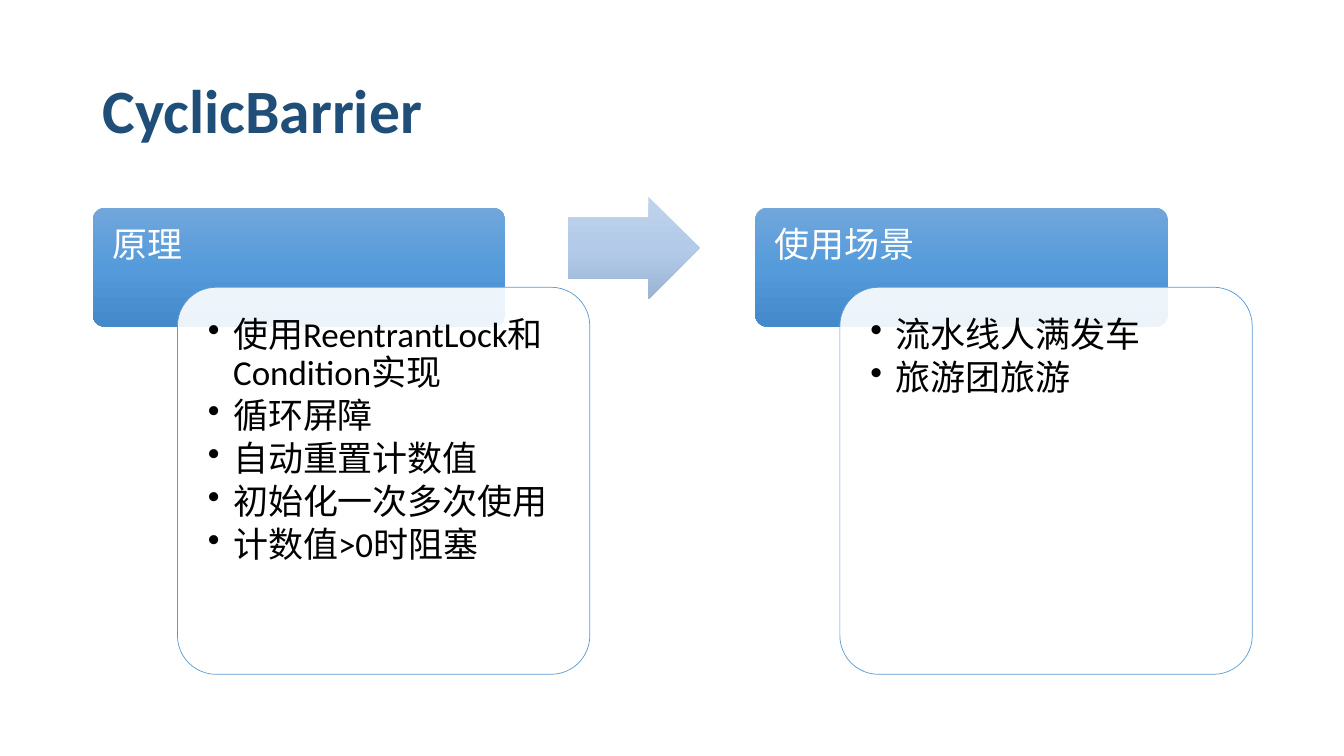
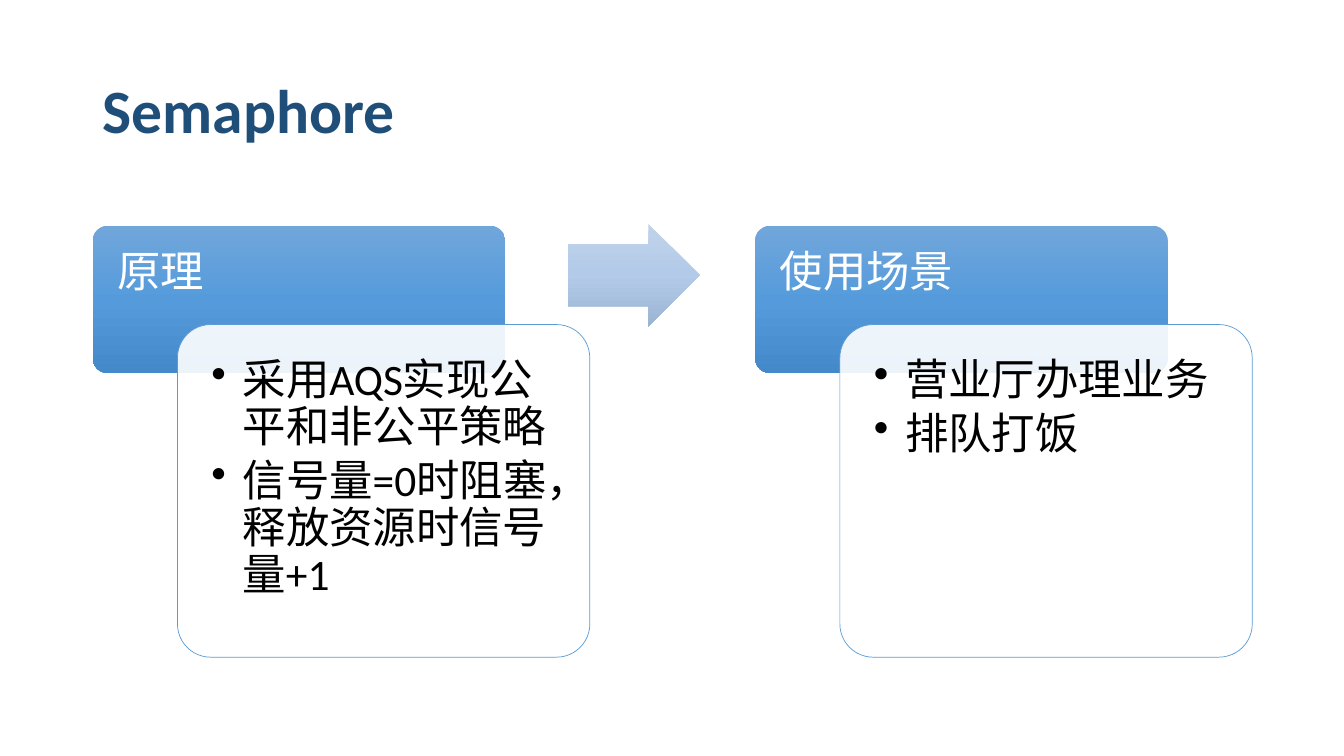
import dataclasses

import pptx
import pptx.dml.color
import pptx.enum.lang
import pptx.enum.shapes
import pptx.enum.text
import pptx.oxml.ns
import pptx.util
from lxml import etree

SHAPES = pptx.enum.shapes.MSO_SHAPE
ANCHOR = pptx.enum.text.MSO_ANCHOR
PX = 9144  # EMU per px, 100 px to the inch


@dataclasses.dataclass(frozen=True)
class Theme:
    font: str = "Calibri"
    title_size: int = 44
    title_color: str = "1F4E79"
    header_text: str = "FFFFFF"
    body_text: str = "000000"
    header_fill: tuple = ("71A6DB", "559BDB", "448ACA")
    arrow_fill: tuple = ("C0D2EB", "B3CBE9", "9BB4D3")
    card_fill: str = "FFFFFF"
    card_opacity: int = 90
    card_line: str = "5B9BD5"


def px(length):
    return pptx.util.Emu(length * PX)


def rgb(color):
    return pptx.dml.color.RGBColor.from_string(color)


def add_node(parent, tag, **values):
    return etree.SubElement(parent, pptx.oxml.ns.qn(tag), values)


class Board:
    """Holds the theme and the current page, and draws each kind of element."""

    corner = 0.1
    lefts = (92, 749)
    width = 409
    card_shift = 84

    def __init__(self, theme):
        self.theme = theme
        self.deck = pptx.Presentation()
        self.deck.slide_width = px(1333)
        self.deck.slide_height = px(750)
        self.page = None

    def new_page(self, title):
        self.page = self.deck.slides.add_slide(self.deck.slide_layouts[6])
        box = self.page.shapes.add_textbox(*map(px, (92, 40, 1150, 145)))
        self.set_text(box, [title], self.theme.title_size,
                      self.theme.title_color, anchor=ANCHOR.MIDDLE, bold=True)

    def shape(self, kind, at, adjustments):
        shape = self.page.shapes.add_shape(kind, *map(px, at))
        shape.shadow.inherit = False
        for index, value in enumerate(adjustments):
            shape.adjustments[index] = value
        return shape

    def gradient(self, shape, colors):
        shape.line.fill.background()
        shape.fill.gradient()
        shape.fill.gradient_angle = 270
        stops = next(shape.element.iter(pptx.oxml.ns.qn("a:gsLst")))
        for stop in list(stops):
            stops.remove(stop)
        for index, color in enumerate(colors):
            position = 100000 * index // (len(colors) - 1)
            stop = add_node(stops, "a:gs", pos=str(position))
            add_node(stop, "a:srgbClr", val=color)

    def set_text(self, shape, lines, size, color, anchor=ANCHOR.TOP,
                 insets=None, bold=False, after=0.0, bullets=False):
        frame = shape.text_frame
        frame_format = {"word_wrap": True, "vertical_anchor": anchor}
        for side, inset in (insets or {}).items():
            frame_format["margin_" + side] = px(inset)
        for name, value in frame_format.items():
            setattr(frame, name, value)
        para_format = {
            "alignment": pptx.enum.text.PP_ALIGN.LEFT,
            "line_spacing": 0.9,
            "space_after": pptx.util.Pt(size * after),
        }
        font_format = {
            "name": self.theme.font,
            "size": pptx.util.Pt(size),
            "bold": bold,
            "language_id": pptx.enum.lang.MSO_LANGUAGE_ID.SIMPLIFIED_CHINESE,
        }
        for index, line in enumerate(lines):
            para = frame.add_paragraph() if index else frame.paragraphs[0]
            for name, value in para_format.items():
                setattr(para, name, value)
            if bullets:
                self.bullet(para, size)
            span = para.add_run()
            span.text = line
            for name, value in font_format.items():
                setattr(span.font, name, value)
            span.font.color.rgb = rgb(color)

    def bullet(self, para, indent):
        properties = para._p.get_or_add_pPr()
        properties.set("marL", str(px(indent)))
        properties.set("indent", str(-px(indent)))
        add_node(properties, "a:buChar", char="•")

    def header(self, at, text, size, pad):
        box = self.shape(SHAPES.ROUNDED_RECTANGLE, at, [self.corner])
        self.gradient(box, self.theme.header_fill)
        # The rounded corner already insets the text
        inset = pad - round(0.29 * self.corner * at[3])
        self.set_text(box, [text], size, self.theme.header_text, after=0.35,
                      insets=dict.fromkeys(("left", "top", "right"), inset))

    def card(self, at, lines, size, pad):
        box = self.shape(SHAPES.ROUNDED_RECTANGLE, at, [self.corner])
        box.fill.solid()
        box.fill.fore_color.rgb = rgb(self.theme.card_fill)
        color = next(box.element.spPr.iter(pptx.oxml.ns.qn("a:srgbClr")))
        add_node(color, "a:alpha", val=str(self.theme.card_opacity * 1000))
        box.line.color.rgb = rgb(self.theme.card_line)
        box.line.width = pptx.util.Pt(0.5)
        sides = ("left", "top", "right", "bottom")
        self.set_text(box, lines, size, self.theme.body_text, after=0.15,
                      insets=dict.fromkeys(sides, pad), bullets=True)

    def arrow(self, middle):
        arrow = self.shape(SHAPES.RIGHT_ARROW, (563, middle - 51, 131, 102),
                           [0.6, 0.5])
        self.gradient(arrow, self.theme.arrow_fill)

    def process(self, top, header_height, card_height, size, steps):
        strip = round(0.67 * header_height)  # part of the header above the card
        pad = round(0.77 * size)
        for index, (left, (heading, lines)) in enumerate(zip(self.lefts, steps)):
            if index:
                self.arrow(top + (strip + 1) // 2)
            self.header((left, top, self.width, header_height),
                        heading, size, pad)
            self.card((left + self.card_shift, top + strip, self.width,
                       card_height), lines, size, pad)


# Content of the pages
PAGES = [
    {
        "title": "CyclicBarrier",
        "process": {
            "top": 206, "header_height": 118, "card_height": 384, "size": 25,
            "steps": [
                ("原理", ["使用ReentrantLock和Condition实现", "循环屏障",
                        "自动重置计数值", "初始化一次多次使用",
                        "计数值>0时阻塞"]),
                ("使用场景", ["流水线人满发车", "旅游团旅游"]),
            ],
        },
    },
    {
        "title": "Semaphore",
        "process": {
            "top": 224, "header_height": 146, "card_height": 330, "size": 31,
            "steps": [
                ("原理", ["采用AQS实现公平和非公平策略",
                        "信号量=0时阻塞，释放资源时信号量+1"]),
                ("使用场景", ["营业厅办理业务", "排队打饭"]),
            ],
        },
    },
]


def main():
    board = Board(Theme())
    for content in PAGES:
        board.new_page(content["title"])
        board.process(**content["process"])
    board.deck.save("out.pptx")


if __name__ == "__main__":
    main()
